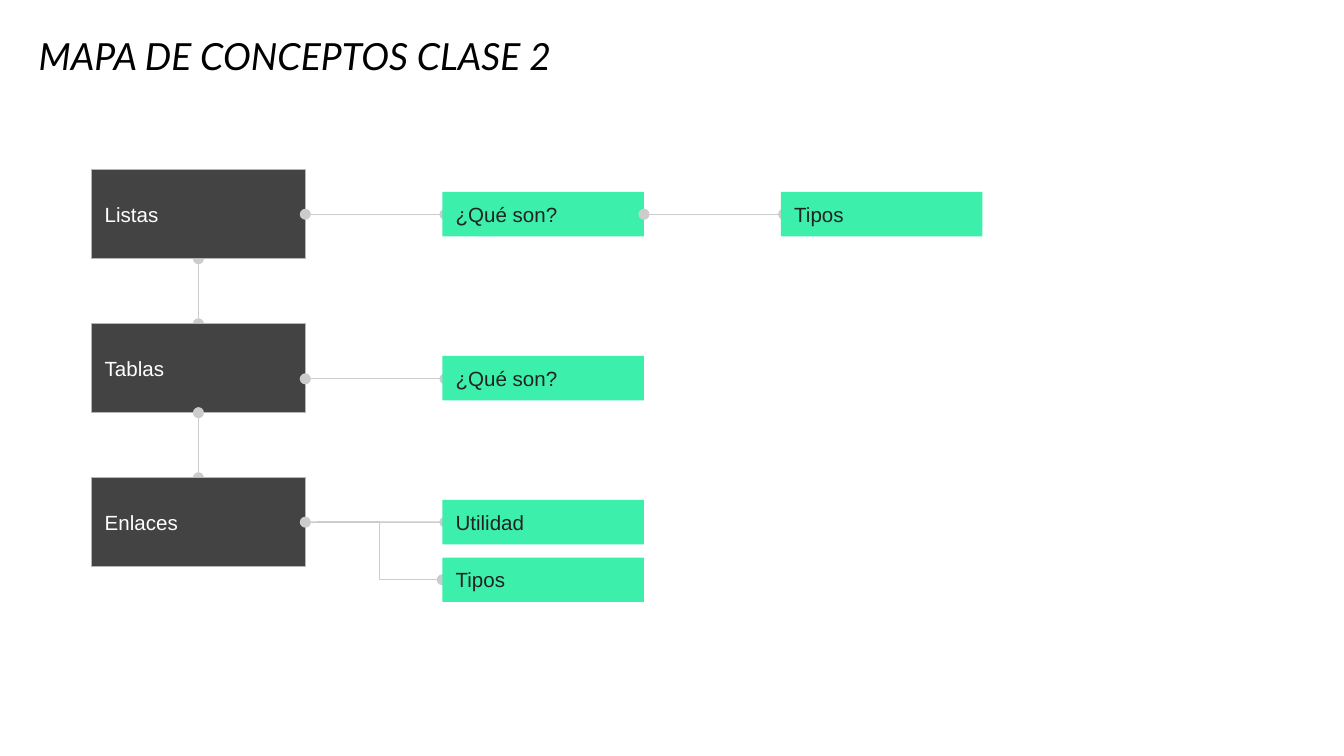
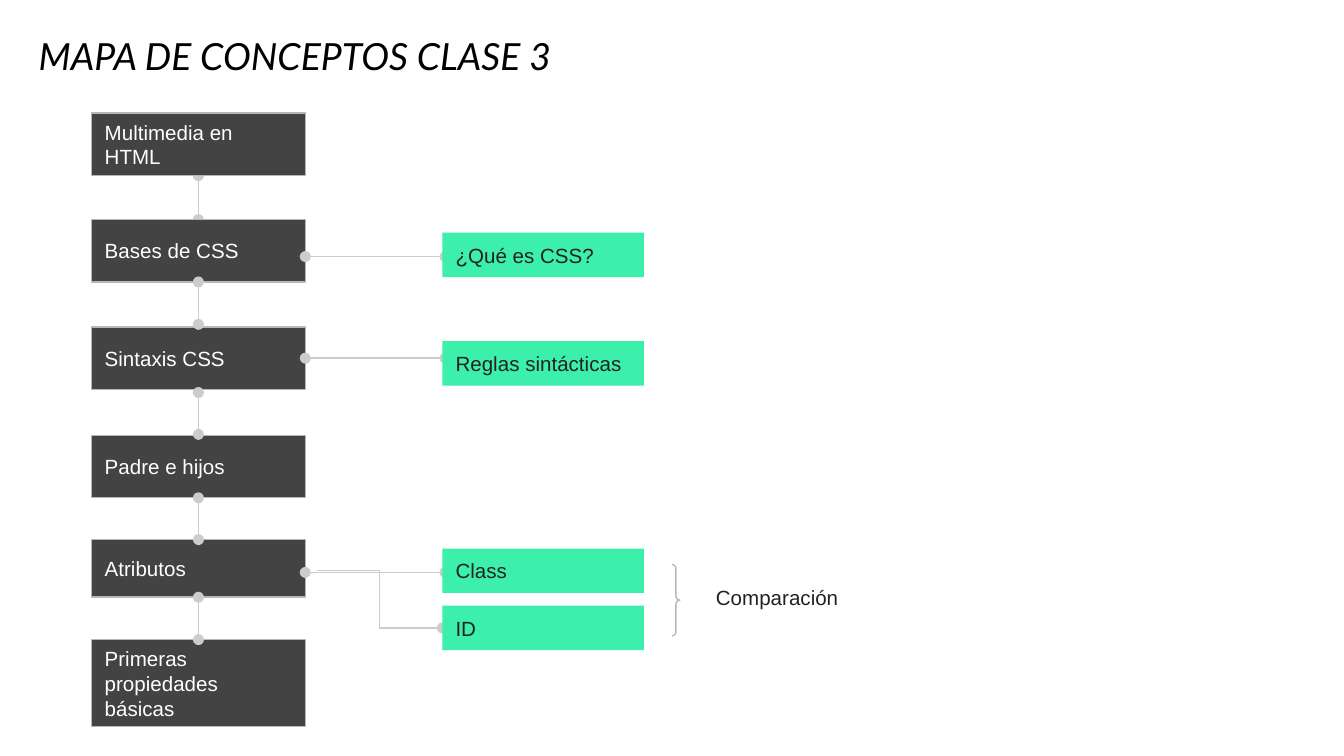
from lxml.etree import SubElement
from pptx import Presentation
from pptx.dml.color import RGBColor
from pptx.enum.shapes import MSO_CONNECTOR, MSO_SHAPE
from pptx.enum.text import MSO_ANCHOR, PP_ALIGN
from pptx.oxml.ns import qn
from pptx.util import Cm, Pt

COLORS = {"title": "000000", "topic": "434343", "topic_text": "FFFFFF", "border": "B7B7B7",
          "branch": "3CEFAB", "branch_text": "222222", "link": "CCCCCC"}
TITLE_FONT = {"name": "Lato", "size": Pt(20), "italic": True}
BODY_FONT = {"name": "Arial", "size": Pt(11)}
MARGINS = {f"margin_{side}": Cm(0.25) for side in ("left", "right", "top", "bottom")}

TOPIC_LEFT, TOPIC_W = 1.73, 4.04
TOPIC_MID, TOPIC_RIGHT = TOPIC_LEFT + TOPIC_W / 2, TOPIC_LEFT + TOPIC_W
BRANCH_W, BRANCH_H = 3.81, 0.84
COL_1, COL_2 = 8.36, 14.76
ELBOW_LEFT = 5.99
OVERLAP = 0.05

# column, back to front: (topic or None for a link, top, height)
# branches: (text, left, top, link start x, link start y, is elbow)
MAPS = [
    {"title": "MAPA DE CONCEPTOS CLASE 2",
     "column": [(None, 4.89, 1.23), ("Tablas", 6.12, 1.68), (None, 7.8, 1.23),
                ("Enlaces", 9.03, 1.68), ("Listas", 3.21, 1.68)],
     "branches": [("¿Qué son?", COL_1, 3.63, TOPIC_RIGHT, 4.05, False),
                  ("Tipos", COL_2, 3.63, COL_1 + BRANCH_W, 4.05, False),
                  ("¿Qué son?", COL_1, 6.73, TOPIC_RIGHT, 7.16, False),
                  ("Utilidad", COL_1, 9.45, TOPIC_RIGHT, 9.87, False),
                  ("Tipos", COL_1, 10.54, ELBOW_LEFT, 9.87, True)]},
    {"title": "MAPA DE CONCEPTOS CLASE 3",
     "column": [(None, 3.32, 0.83), ("Bases de CSS", 4.15, 1.18), ("Sintaxis CSS", 6.18, 1.18),
                ("Multimedia en HTML", 2.14, 1.18), ("Padre e hijos", 8.23, 1.18),
                (None, 5.33, 0.8), (None, 7.42, 0.79), ("Atributos", 10.2, 1.09),
                (None, 9.41, 0.79), ("Primeras propiedades básicas", 12.09, 1.65),
                (None, 11.29, 0.8)],
     "branches": [("¿Qué es CSS?", COL_1, 4.4, TOPIC_RIGHT, 4.85, False),
                  ("Reglas sintácticas", COL_1, 6.45, TOPIC_RIGHT, 6.77, False),
                  ("Class", COL_1, 10.37, TOPIC_RIGHT, 10.82, False),
                  ("ID", COL_1, 11.45, ELBOW_LEFT, 10.79, True)]},
]


def add_box(s, text, x, y, w, h, font, color, anchor, fill=None, line=None):
    """Add a rectangle if it has a fill, otherwise a text box."""
    pos = Cm(x), Cm(y), Cm(w), Cm(h)
    if fill:
        sp = s.shapes.add_shape(MSO_SHAPE.RECTANGLE, *pos)
        sp.shadow.inherit = False
        sp.fill.solid()
        sp.fill.fore_color.rgb = RGBColor.from_string(COLORS[fill])
        if line:
            sp.line.color.rgb = RGBColor.from_string(COLORS[line])
            sp.line.width = Pt(0.75)
        else:
            sp.line.fill.background()
    else:
        sp = s.shapes.add_textbox(*pos)
    tf = sp.text_frame
    for name, value in {**MARGINS, "word_wrap": True, "vertical_anchor": anchor}.items():
        setattr(tf, name, value)
    p = tf.paragraphs[0]
    p.alignment = PP_ALIGN.LEFT
    r = p.add_run()
    r.text = text
    for name, value in font.items():
        setattr(r.font, name, value)
    r.font.color.rgb = RGBColor.from_string(COLORS[color])
    return sp


def add_link(s, x1, y1, x2, y2, elbow=False):
    kind = MSO_CONNECTOR.ELBOW if elbow else MSO_CONNECTOR.STRAIGHT
    cx = s.shapes.add_connector(kind, Cm(x1), Cm(y1), Cm(x2), Cm(y2))
    cx.line.color.rgb = RGBColor.from_string(COLORS["link"])
    cx.line.width = Pt(0.75)
    ln = cx.line._get_or_add_ln()
    for end in ("tailEnd",) if elbow else ("headEnd", "tailEnd"):
        SubElement(ln, qn(f"a:{end}"), type="oval")
    SubElement(cx._element.spPr, qn("a:effectLst"))
    return cx


prs = Presentation()
prs.slide_width, prs.slide_height = Cm(25.4), Cm(14.29)

for concept_map in MAPS:
    s = prs.slides.add_slide(prs.slide_layouts[6])
    add_box(s, concept_map["title"], 0.48, 0.56, 20.98, 1.17, TITLE_FONT, "title",
            MSO_ANCHOR.BOTTOM)
    boxes, links = [], []

    for text, top, height in concept_map["column"]:
        if text:
            boxes.append(add_box(s, text, TOPIC_LEFT, top, TOPIC_W, height, BODY_FONT,
                                 "topic_text", MSO_ANCHOR.MIDDLE, "topic", "border"))
        else:
            links.append(add_link(s, TOPIC_MID, top, TOPIC_MID, top + height))

    for text, left, top, x, y, elbow in concept_map["branches"]:
        end = (left, top + BRANCH_H / 2) if elbow else (left + OVERLAP, y)
        links.append(add_link(s, x, y, *end, elbow))
        boxes.append(add_box(s, text, left, top, BRANCH_W, BRANCH_H, BODY_FONT,
                             "branch_text", MSO_ANCHOR.MIDDLE, "branch"))

    # Join each link end that lies on the middle of a box side
    for cx in links:
        for sp in boxes:
            mid_x, mid_y = sp.left + sp.width // 2, sp.top + sp.height // 2
            sides = [(mid_x, sp.top), (sp.left, mid_y),
                     (mid_x, sp.top + sp.height), (sp.left + sp.width, mid_y)]
            for site, (x, y) in enumerate(sides):
                if max(abs(cx.begin_x - x), abs(cx.begin_y - y)) < Cm(0.01):
                    cx.begin_connect(sp, site)
                if max(abs(cx.end_x - x), abs(cx.end_y - y)) < Cm(0.01):
                    cx.end_connect(sp, site)

# Comparison of the two attributes on the last map
brace = s.shapes.add_shape(MSO_SHAPE.RIGHT_BRACE, Cm(12.7), Cm(10.67), Cm(0.15), Cm(1.35))
brace.shadow.inherit = False
brace.fill.background()
brace.line.color.rgb = RGBColor.from_string(COLORS["border"])
brace.line.width = Pt(0.75)
brace.adjustments[0], brace.adjustments[1] = 0.5, 0.5
add_box(s, "Comparación", 13.28, 10.82, 3.05, 0.61, BODY_FONT, "branch_text", MSO_ANCHOR.TOP)

prs.save("out.pptx")
